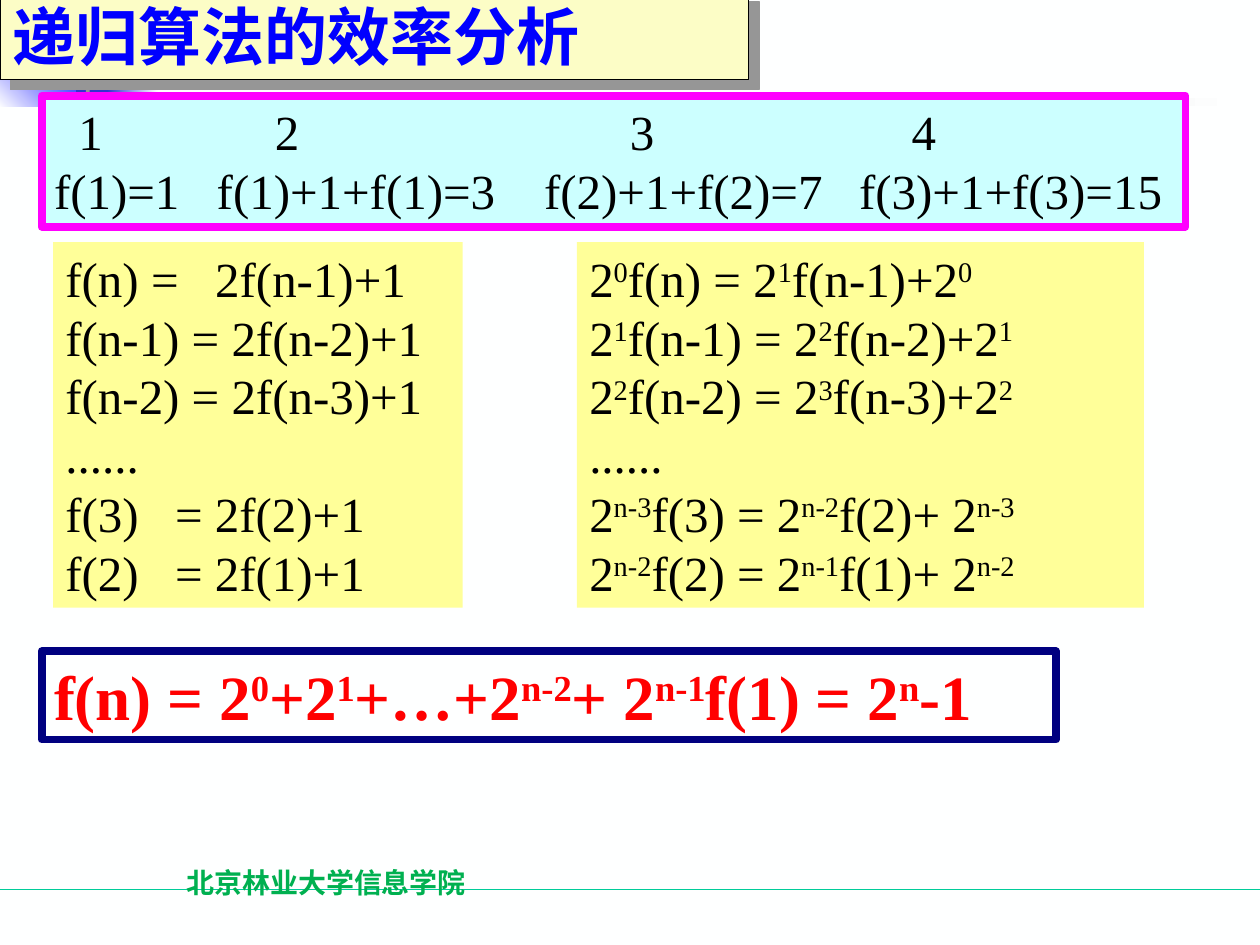
from lxml import etree
from pptx import Presentation, util as u
from pptx.dml.color import RGBColor
from pptx.enum import shapes, text
from pptx.oxml.ns import qn

SERIF, SANS, HAN = "Times New Roman", "Arial", "Noto Sans CJK SC"
WIDE, HIGH = 25.4, 19.05

# left, top, width, height, fill colours (two make a gradient), angle
DECOR = [
    (1.12, 1.17, 1.17, 1.32, ["3333CC"], 0),
    (2.16, 1.17, 1.02, 1.32, ["3333CC", "FEFFFF"], 0),
    (-0.03, 0.97, 1.55, 1.17, ["FEFFFF", "0000FF"], 45),
    (1.73, -0.3, 0.08, 2.92, ["969696"], 0),
    (0.84, 1.98, 24.16, 0.15, ["969696", "FEFFFF"], 0),
]

# Each line is its text, with ^ around superscripts, and its tab stops in cm.
STEPS = [
    ("\t1\t2\t3\t4", [0.49, 4.45, 11.61, 17.29]),
    ("f(1)=1\tf(1)+1+f(1)=3\tf(2)+1+f(2)=7\tf(3)+1+f(3)=15",
     [4.45 - 1.17, 9.88, 16.23]),
]
TERMS = [
    ("f(n) =\t2f(n-1)+1", [3.02]),
    ("f(n-1) = 2f(n-2)+1", []),
    ("f(n-2) = 2f(n-3)+1", []),
    ("......", []),
    ("f(3)\t= 2f(2)+1", [2.21]),
    ("f(2)\t= 2f(1)+1", [2.21]),
]
SCALED = [
    ("2^0^f(n) = 2^1^f(n-1)+2^0", []),
    ("2^1^f(n-1) = 2^2^f(n-2)+2^1", []),
    ("2^2^f(n-2) = 2^3^f(n-3)+2^2", []),
    ("......", []),
    ("2^n-3^f(3) = 2^n-2^f(2)+ 2^n-3", []),
    ("2^n-2^f(2) = 2^n-1^f(1)+ 2^n-2", []),
]
RESULT = [("f(n) = 2^0^+2^1^+…+2^n-2^+ 2^n-1^f(1) = 2^n^-1", [])]
TITLE = [("递归算法的效率分析", [])]
SCHOOL = [("北京林业大学信息学院", [])]

# place, fill, line, line width, lines, font, size, colour, bold
BOXES = [
    ((1.32, 17.32, 10.52, 1.27), None, None, 0, SCHOOL, HAN, 16, "00B050", True),
    ((0.84, 1.93, 23.06, 2.64), "CCFFFF", "FF00FF", 4.5, STEPS, SERIF, 28, "000000", False),
    ((1.07, 4.88, 8.26, 7.37), "FFFF99", None, 0, TERMS, SERIF, 28, "000000", False),
    ((11.63, 4.88, 11.43, 7.37), "FFFF99", None, 0, SCALED, SERIF, 28, "000000", False),
    ((0.84, 13.13, 20.45, 1.78), None, "000080", 4.5, RESULT, SERIF, 36, "FF0000", True),
    ((0, -0.18, 15.09, 1.78), "FCFDC6", "000000", 0.75, TITLE, SANS, 36, "0000FF", True),
]


def rgb(code):
    return RGBColor.from_string(code)


def add_rect(place):
    rect = slide.shapes.add_shape(shapes.MSO_SHAPE.RECTANGLE, *map(u.Cm, place))
    rect.shadow.inherit = False
    rect.fill.background()
    rect.line.fill.background()
    return rect


def paint(fill, codes, angle=0):
    if len(codes) == 1:
        fill.solid()
        fill.fore_color.rgb = rgb(codes[0])
        return
    fill.gradient()
    fill.gradient_angle = angle
    for stop, code in zip(fill.gradient_stops, codes):
        stop.color.rgb = rgb(code)


def add_tabs(para, stops):
    if stops:
        tabs = etree.SubElement(para._p.get_or_add_pPr(), qn("a:tabLst"))
        for stop in stops:
            etree.SubElement(tabs, qn("a:tab"), pos=str(int(u.Cm(stop))), algn="l")


def write(frame, lines, face, size, color, bold):
    frame.word_wrap = True
    frame.vertical_anchor = text.MSO_ANCHOR.TOP
    for i, (line, stops) in enumerate(lines):
        para = frame.add_paragraph() if i else frame.paragraphs[0]
        para.alignment = text.PP_ALIGN.LEFT
        add_tabs(para, stops)
        for j, part in enumerate(line.split("^")):
            if not part:
                continue
            run = para.add_run()
            run.text = part
            font = run.font
            font.name, font.size, font.bold = face, u.Pt(size), bold
            font.color.rgb = rgb(color)
            props = run._r.get_or_add_rPr()
            if face != SERIF:
                han = etree.Element(qn("a:ea"), typeface=HAN)
                props.find(qn("a:latin")).addnext(han)
            if j % 2:
                props.set("baseline", "30000")


def cast_shadow(shape, color, dist):
    effects = shape._element.spPr.find(qn("a:effectLst"))
    shade = etree.SubElement(effects, qn("a:outerShdw"), blurRad="0",
                             dist=str(int(u.Pt(dist))), dir="2700000",
                             algn="ctr", rotWithShape="0")
    etree.SubElement(shade, qn("a:srgbClr"), val=color)


deck = Presentation()
deck.slide_width, deck.slide_height = u.Cm(WIDE), u.Cm(HIGH)
slide = deck.slides.add_slide(deck.slide_layouts[6])
paint(slide.background.fill, ["FEFFFF"])

level = u.Cm(17.93)
rule = slide.shapes.add_connector(shapes.MSO_CONNECTOR.STRAIGHT, 0, level, u.Cm(WIDE), level)
rule.line.color.rgb = rgb("00CC99")
rule.line.width = u.Pt(0.75)
etree.SubElement(rule._element.spPr, qn("a:effectLst"))

for *place, codes, angle in DECOR:
    paint(add_rect(place).fill, codes, angle)

for place, fill, edge, width, lines, *style in BOXES:
    box = add_rect(place) if fill or edge else slide.shapes.add_textbox(*map(u.Cm, place))
    if fill:
        paint(box.fill, [fill])
    if edge:
        box.line.color.rgb = rgb(edge)
        box.line.width = u.Pt(width)
    write(box.text_frame, lines, *style)
    if lines is SCHOOL:
        box.text_frame.paragraphs[0].alignment = text.PP_ALIGN.CENTER
    if lines is TITLE:
        cast_shadow(box, "969696", 8.5)

deck.save("out.pptx")
